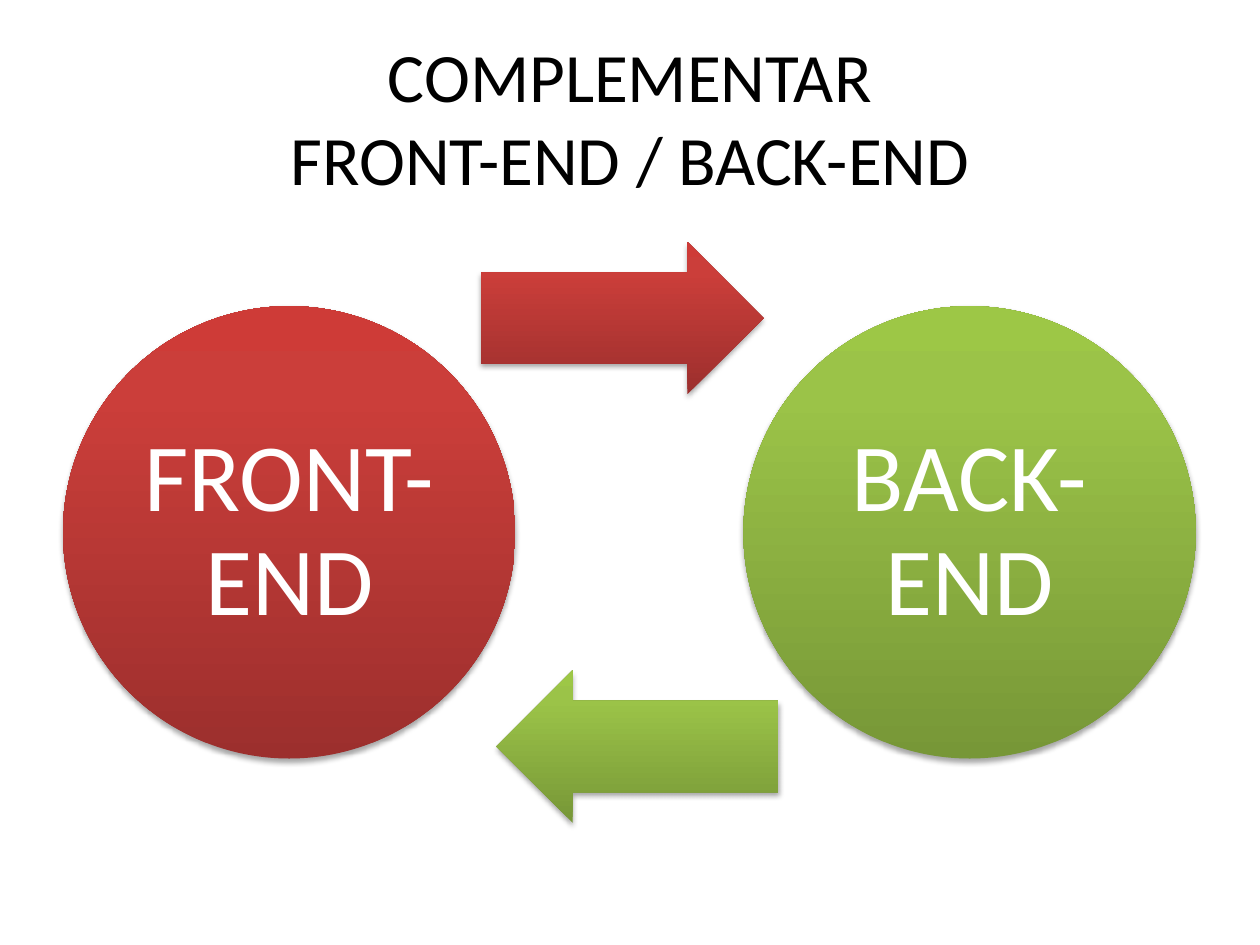
from copy import deepcopy

from lxml.etree import SubElement
from pptx import Presentation
from pptx.dml.color import RGBColor
from pptx.enum.shapes import MSO_SHAPE
from pptx.enum.text import MSO_ANCHOR, PP_ALIGN
from pptx.oxml.ns import qn
from pptx.util import Inches, Pt

BLACK = RGBColor(0x00, 0x00, 0x00)
WHITE = RGBColor(0xFF, 0xFF, 0xFF)
RED = (RGBColor(0x9C, 0x2F, 0x2D), RGBColor(0xCB, 0x3E, 0x3A), RGBColor(0xCE, 0x3B, 0x37))
GREEN = (RGBColor(0x77, 0x97, 0x37), RGBColor(0x9B, 0xC3, 0x48), RGBColor(0x9D, 0xC7, 0x46))
GRADIENT_POSITIONS = (0, 0.8, 1)
FONT = "Calibri"

TITLE = "COMPLEMENTAR\vFRONT-END / BACK-END"
SIDES = [
    {"label": "FRONT-END", "colors": RED, "arrow_left": 3.82, "arrow_top": 1.92, "rotation": 0},
    {"label": "BACK-END", "colors": GREEN, "arrow_left": 3.94, "arrow_top": 5.32, "rotation": 180},
]

MARGIN = 0.5
CIRCLE_TOP, CIRCLE_SIZE, CIRCLE_PITCH = 2.43, 3.59, 5.4
ARROW_WIDTH, ARROW_HEIGHT = 2.24, 1.21


def write_text(shape, text, size, color, line_spacing, inset=None):
    frame = shape.text_frame
    frame.word_wrap = True
    frame.vertical_anchor = MSO_ANCHOR.MIDDLE
    if inset is not None:
        frame.margin_left = frame.margin_right = Inches(inset)
        frame.margin_top = frame.margin_bottom = Inches(inset)
    frame.text = text
    paragraph = frame.paragraphs[0]
    paragraph.alignment = PP_ALIGN.CENTER
    paragraph.line_spacing = line_spacing
    for run in paragraph.runs:
        run.font.name = FONT
        run.font.size = Pt(size)
        run.font.color.rgb = color


def add_glossy_shape(slide, kind, left, top, width, height, colors):
    shape = slide.shapes.add_shape(kind, Inches(left), Inches(top), Inches(width), Inches(height))
    shape.line.fill.background()

    shape.fill.gradient()
    shape.fill.gradient_angle = 90
    gradient = shape._element.spPr.find(qn("a:gradFill"))
    gradient.set("rotWithShape", "0")
    stop_list = gradient.find(qn("a:gsLst"))
    stop_list.append(deepcopy(stop_list[-1]))
    for stop, position, color in zip(shape.fill.gradient_stops, GRADIENT_POSITIONS, colors):
        stop.position = position
        stop.color.rgb = color

    shape.shadow.inherit = False
    effects = shape._element.spPr.find(qn("a:effectLst"))
    shadow = SubElement(effects, qn("a:outerShdw"), blurRad=str(Pt(3.1)), dist=str(Pt(1.8)),
                        dir="5400000", rotWithShape="0")
    shadow_color = SubElement(shadow, qn("a:srgbClr"), val=str(BLACK))
    SubElement(shadow_color, qn("a:alpha"), val="35000")
    return shape


def main():
    presentation = Presentation()
    presentation.slide_width, presentation.slide_height = Inches(10), Inches(7.5)
    slide = presentation.slides.add_slide(presentation.slide_layouts[6])

    title = slide.shapes.add_textbox(Inches(MARGIN), Inches(0.3), Inches(10 - 2 * MARGIN), Inches(1.25))
    write_text(title, TITLE, 39.6, BLACK, 1)

    for column, side in enumerate(SIDES):
        circle = add_glossy_shape(slide, MSO_SHAPE.OVAL, MARGIN + column * CIRCLE_PITCH, CIRCLE_TOP,
                                  CIRCLE_SIZE, CIRCLE_SIZE, side["colors"])
        write_text(circle, side["label"], 55, WHITE, 0.9, inset=0.08)

        arrow = add_glossy_shape(slide, MSO_SHAPE.RIGHT_ARROW, side["arrow_left"], side["arrow_top"],
                                 ARROW_WIDTH, ARROW_HEIGHT, side["colors"])
        arrow.adjustments[0] = 0.6
        arrow.adjustments[1] = 0.5
        arrow.rotation = side["rotation"]

    presentation.save("out.pptx")


if __name__ == "__main__":
    main()
